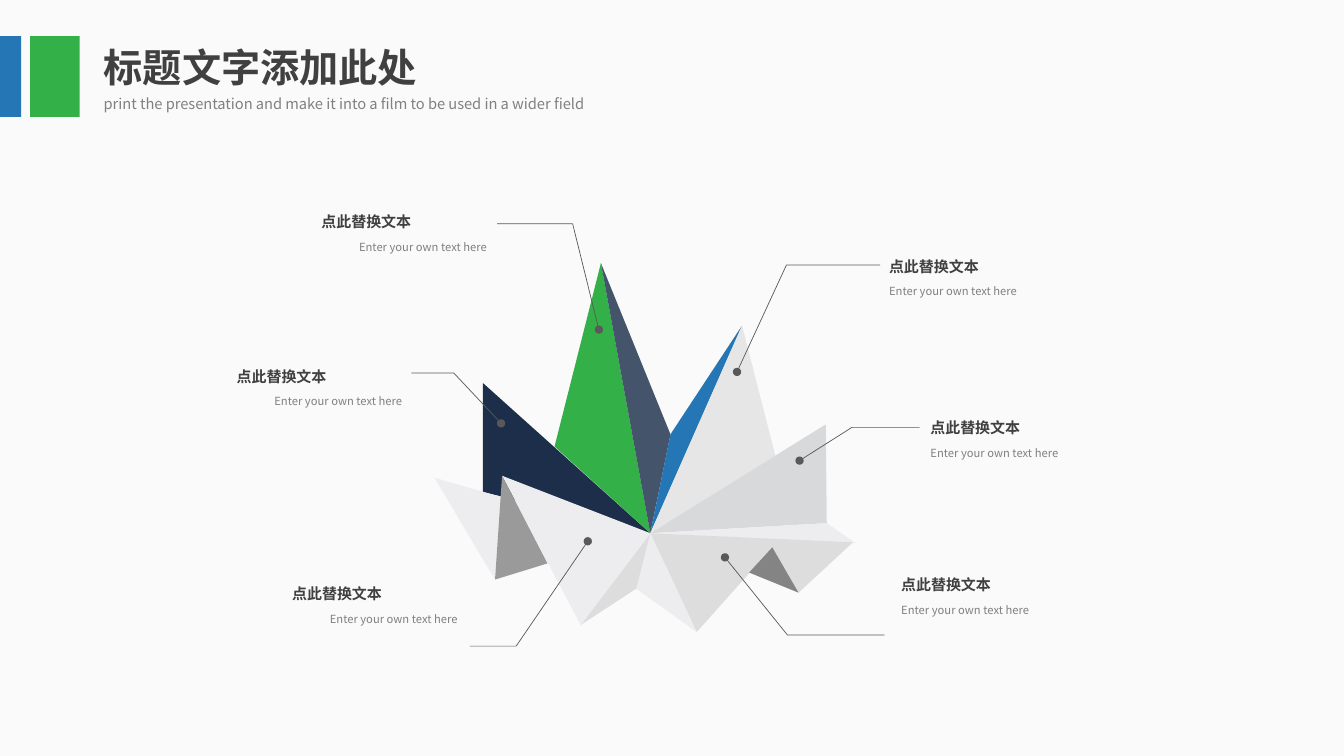
from pptx import Presentation
from pptx.dml.color import RGBColor as RGB
from pptx.enum.shapes import MSO_SHAPE as Kind
from pptx.enum.text import MSO_ANCHOR as Anchor, MSO_AUTO_SIZE as Fit, PP_ALIGN as Align
from pptx.oxml.ns import qn
from pptx.util import Inches, Pt
from lxml import etree

# Content
FONT = "Noto Sans CJK SC"
TITLE = "标题文字添加此处"
TAGLINE = "print the presentation and make it into a film to be used in a wider field"
HEAD = "点此替换文本"
NOTE = "Enter your own text here"

HEX = dict(
    page="FAFAFA", dark="404040", mute="808080", lead="595959",
    navy="1D2E4B", green="33B048", slate="44546A", blue="2576B5",
    warm="E7E6E6", cool="D8D9DB", pale="EDEDEF", soft="DDDDDE",
    coal="848485", ash="9B9A9B")

# Corners that several facets share
HUB = (6.45, 5.29)
PEAK, CREST = (5.96, 2.61), (7.36, 3.23)
NOTCH, RIDGE = (6.65, 4.31), (8.2, 5.19)
FOOT, DIP, HEEL = (6.91, 6.27), (6.31, 5.84), (5.76, 6.2)
CLEFT, SPUR = (7.66, 5.43), (7.92, 5.88)
BROW, BARB = (4.98, 4.72), (4.91, 5.75)

# Facets from back to front: colour, corners
FACETS = [
    ("navy", [HUB, (4.79, 4.88), (4.79, 3.8)]),
    ("green", [HUB, (5.5, 4.43), PEAK]),
    ("slate", [PEAK, HUB, NOTCH]),
    ("blue", [NOTCH, CREST, HUB]),
    ("warm", [HUB, CREST, (7.69, 4.52)]),
    ("cool", [HUB, (8.19, 4.21), RIDGE]),
    ("pale", [(8.49, 5.39), HUB, RIDGE]),
    ("soft", [HUB, FOOT, CLEFT, SPUR, (8.46, 5.38)]),
    ("coal", [(7.43, 5.68), SPUR, CLEFT]),
    ("pale", [DIP, FOOT, HUB]),
    ("pale", [(4.31, 4.74), (4.97, 4.93), BARB]),
    ("soft", [HUB, HEEL, DIP]),
    ("pale", [BROW, HEEL, HUB]),
    ("ash", [BARB, (5.43, 5.59), BROW]),
]

# Callouts: side, left and top of text, dot, bend x, end (x, y)
CALLS = [
    ("left", 1.62, 3.55, (4.97, 4.2), 4.5, (4.08, 3.7)),
    ("left", 2.46, 2.02, (5.94, 3.27), 5.68, (4.93, 2.22)),
    ("right", 8.72, 2.46, (7.31, 3.69), 7.8, (8.73, 2.63)),
    ("right", 9.13, 4.06, (7.93, 4.57), 8.45, (9.12, 4.24)),
    ("left", 2.17, 5.71, (5.83, 5.37), 5.12, (4.66, 6.41)),
    ("right", 8.84, 5.62, (7.19, 5.53), 7.81, (8.77, 6.3)),
]
SHIFT, DROP = 0.63, 0.28  # head inset on the left side, note below head
BARS = [("green", 0.3, 0.49), ("blue", 0, 0.21)]  # colour, left, width

deck = Presentation()
deck.slide_width, deck.slide_height = Inches(13.33), Inches(7.5)
slide = deck.slides.add_slide(deck.slide_layouts[5])
shapes = slide.shapes


def tint(fill, name):
    fill.solid()
    fill.fore_color.rgb = RGB.from_string(HEX[name])


def trace(dots, close):
    pts = [(Inches(x), Inches(y)) for x, y in dots]
    pen = shapes.build_freeform(*pts[0], scale=1.0)
    pen.add_line_segments(pts[1:], close=close)
    form = pen.convert_to_shape()
    form.shadow.inherit = False
    return form


def write(box, area, words, size, color, bold=False, gap=None, align=Align.LEFT):
    box.left, box.top, box.width, box.height = map(Inches, area)
    frame = box.text_frame
    frame.word_wrap, frame.auto_size = True, Fit.NONE
    frame.vertical_anchor = Anchor.TOP
    para = frame.paragraphs[0]
    para.alignment = align
    if gap:
        para.line_spacing = gap
    run = para.add_run()
    run.text = words
    font = run.font
    font.name, font.size, font.bold = FONT, Pt(size), bold
    font.color.rgb = RGB.from_string(HEX[color])
    latin = run._r.rPr.find(qn("a:latin"))
    east = etree.Element(qn("a:ea"), typeface=FONT)
    latin.addnext(east)


def label(*args, **more):
    write(shapes.add_textbox(0, 0, 0, 0), *args, **more)


# Page
tint(slide.background.fill, "page")

# Fan of facets
for color, dots in FACETS:
    facet = trace(dots, True)
    tint(facet.fill, color)
    facet.line.fill.background()

# Callouts with leader lines
for side, left, top, dot, bend, end in CALLS:
    flip = side == "left"
    label((left, top + DROP, 2.47, 0.25), NOTE, 8, "mute", gap=Pt(12),
          align=Align.RIGHT if flip else Align.LEFT)
    label((left + SHIFT * flip, top, 1.87, 0.33), HEAD, 10.7, "dark",
          bold=True, gap=Pt(16))
    lead = trace([dot, (bend, end[1]), end], False)
    lead.fill.background()
    tint(lead.line.fill, "lead")
    lead.line.width = Pt(0.5)
    etree.SubElement(lead.line._get_or_add_ln(), qn("a:headEnd"), type="oval")

# Heading
write(shapes.title, (0.93, 0.38, 3.6, 0.57), TITLE, 28, "dark", bold=True)
label((0.93, 0.86, 5.34, 0.3), TAGLINE, 10.5, "mute", gap=1.2)
for color, left, width in BARS:
    bar = shapes.add_shape(Kind.RECTANGLE, *map(Inches, (left, 0.36, width, 0.8)))
    bar.shadow.inherit = False
    tint(bar.fill, color)
    bar.line.fill.background()

deck.save("out.pptx")
